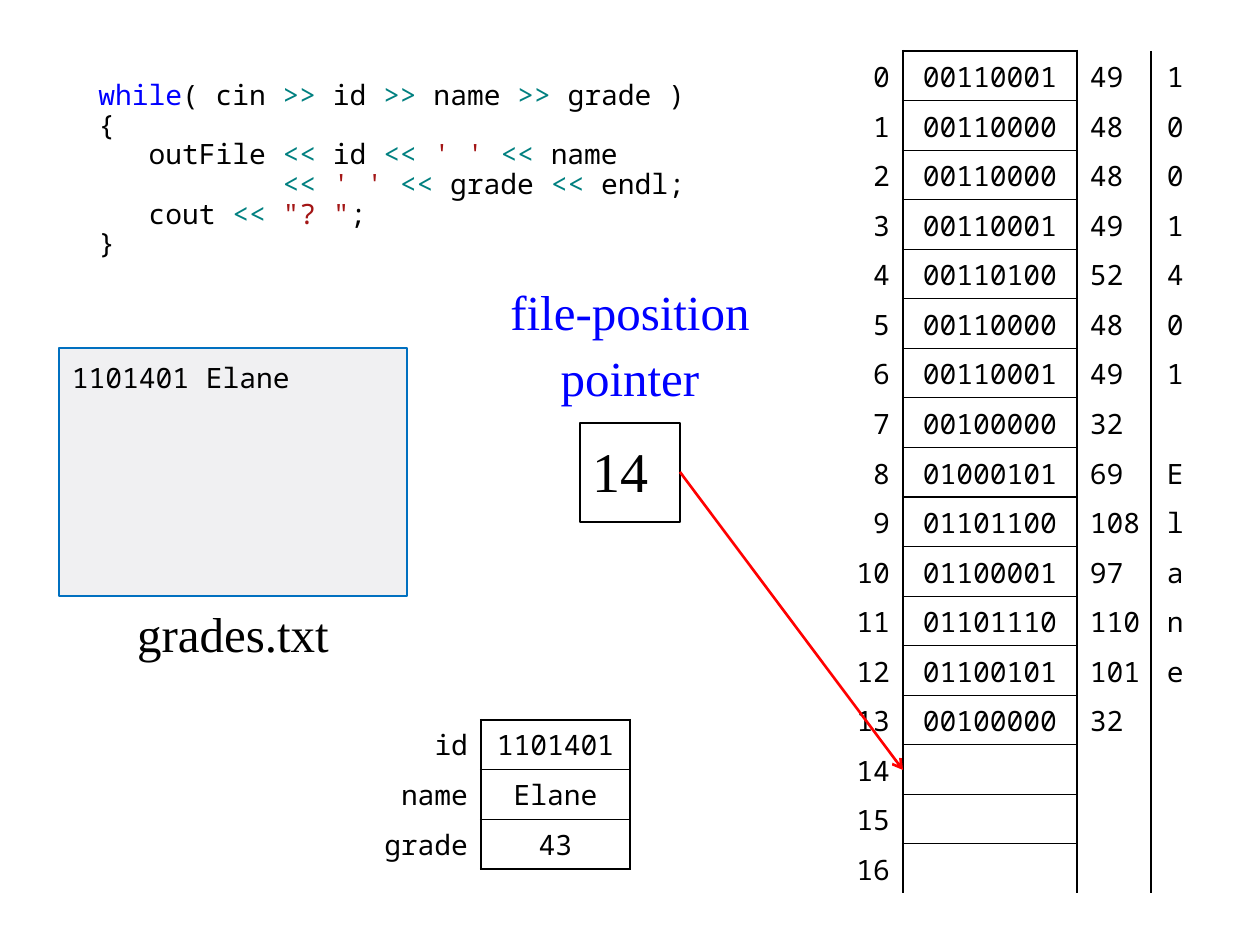
from lxml.etree import SubElement
from pptx import Presentation
from pptx.dml.color import RGBColor
from pptx.enum.shapes import MSO_CONNECTOR, MSO_SHAPE
from pptx.enum.text import MSO_ANCHOR, PP_ALIGN
from pptx.oxml.ns import qn
from pptx.util import Emu, Pt

MONO, SERIF = "Noto Sans Mono", "Times New Roman"
BLACK, BLUE, TEAL, RED = "000000", "0000FF", "008080", "A31515"
LEFT, MID, RIGHT = PP_ALIGN.LEFT, PP_ALIGN.CENTER, PP_ALIGN.RIGHT
PLAIN = "{2D5ABB26-0587-4C30-8999-92F81FD0307C}"
CODE = [
    "while|( cin |>>| id |>>| name |>>| grade )",
    "{",
    "   outFile |<<| id |<< |' ' |<< |name",
    "           |<< |' ' |<<| grade |<<| endl;",
    '   cout |<< |"? "|;',
    "}",
]


def px(num):
    return Emu(round(num * 914400 / 126))


def rgb(color):
    return RGBColor.from_string(color)


def style(para, size, face, color=BLACK, align=LEFT):
    para.alignment = align
    for run in para.runs:
        run.font.size = Pt(size)
        run.font.name = face
        run.font.color.rgb = rgb(color)


def inset(frame, left, top, right, base):
    frame.margin_left, frame.margin_top = px(left), px(top)
    frame.margin_right, frame.margin_bottom = px(right), px(base)


def tint(piece):
    if piece == "while":
        return BLUE
    if "<<" in piece or ">>" in piece:
        return TEAL
    return RED if piece[0] in "'\"" else BLACK


def code(slide, x, y, w, h):
    frame = slide.shapes.add_textbox(px(x), px(y), px(w), px(h)).text_frame
    frame.word_wrap = True
    frame.text = "\n".join(line.replace("|", "") for line in CODE)
    for para, line in zip(frame.paragraphs, CODE):
        para.text = ""
        para.line_spacing = 0.88
        for piece in line.split("|"):
            run = para.add_run()
            run.text = piece
        style(para, 16, MONO)
        for run in para.runs:
            run.font.color.rgb = rgb(tint(run.text))


def label(slide, x, y, w, h, text, color=BLACK, gap=0, wrap=True):
    frame = slide.shapes.add_textbox(px(x), px(y), px(w), px(h)).text_frame
    frame.word_wrap = wrap
    frame.text = text
    for para in frame.paragraphs:
        para.space_before = Pt(gap)
        style(para, 28, SERIF, color, MID)


def panel(slide, x, y, w, h, text, size, face, fill, edge, width, anchor):
    box = slide.shapes.add_shape(MSO_SHAPE.RECTANGLE, px(x), px(y), px(w), px(h))
    box.shadow.inherit = False
    if fill:
        box.fill.solid()
        box.fill.fore_color.rgb = rgb(fill)
    else:
        box.fill.background()
    box.line.color.rgb = rgb(edge)
    box.line.width = Pt(width)
    frame = box.text_frame
    frame.word_wrap = True
    frame.vertical_anchor = anchor
    if anchor == MSO_ANCHOR.TOP:
        inset(frame, 13, 13, 13, 13)
    else:
        inset(frame, 13, 0, 13, 5)
    frame.text = text
    style(frame.paragraphs[0], size, face)


def arrow(slide, x, y, w, h):
    line = slide.shapes.add_connector(
        MSO_CONNECTOR.STRAIGHT, px(x), px(y), px(x + w), px(y + h))
    line.line.color.rgb = rgb("FF0000")
    line.line.width = Pt(1.5)
    SubElement(line.line._get_or_add_ln(), qn("a:tailEnd"), type="arrow")
    SubElement(line._element.spPr, qn("a:effectLst"))


def border(cell, sides):
    props = cell._tc.get_or_add_tcPr()
    for spot, (side, width) in enumerate(sides.items()):
        edge = props.makeelement(qn("a:ln" + side), {"w": str(Pt(width))})
        fill = SubElement(edge, qn("a:solidFill"))
        SubElement(fill, qn("a:srgbClr"), val=BLACK)
        props.insert(spot, edge)


def grid(slide, x, y, w, h, rows, cols, aligns, pad, closed):
    count = len(rows)
    table = slide.shapes.add_table(
        count, len(cols), px(x), px(y), px(w), px(h)).table
    table.first_row = table.horz_banding = False
    table._tbl.tblPr.find(qn("a:tableStyleId")).text = PLAIN
    for col, width in zip(table.columns, cols):
        col.width = px(width)
    for r, texts in enumerate(rows):
        table.rows[r].height = px(h / count)
        for c, text in enumerate(texts):
            cell = table.cell(r, c)
            cell.fill.background()
            cell.vertical_anchor = MSO_ANCHOR.MIDDLE
            inset(cell, 13, *pad[:1], 10 if c == 2 else 13, *pad[1:])
            cell.text = text
            style(cell.text_frame.paragraphs[0], 16, MONO, align=aligns[c])
        sides = {"L": 1.5, "R": 1.5, "T": 0.75 if r else 1.5}
        if r < count - 1:
            sides["B"] = 0.75
        elif closed:
            sides["B"] = 1.5
        border(table.cell(r, 0), {"R": 1.5})
        border(table.cell(r, 1), sides)
        if len(cols) > 2:
            border(table.cell(r, 2), {"L": 1.5})


def memory(slide, x, y, w, h, text, count):
    rows = [[str(n), format(ord(c), "08b"), str(ord(c)), c.strip()]
            for n, c in enumerate(text)]
    rows += [[str(n), "", "", ""] for n in range(len(text), count)]
    grid(slide, x, y, w, h, rows, [75, 174, 74, 49],
         [RIGHT, MID, LEFT, MID], (2, 0), False)


def record(slide, x, y, w, h):
    rows = [["id", "1101401"], ["name", "Elane"], ["grade", "43"]]
    grid(slide, x, y, w, h, rows, [124, 149], [RIGHT, MID], (6, 6), True)


def main():
    deck = Presentation()
    deck.slide_width, deck.slide_height = px(1260), px(945)
    slide = deck.slides.add_slide(deck.slide_layouts[6])
    code(slide, 86, 76, 669, 198)
    panel(slide, 59, 348, 348, 248, "1101401 Elane", 16, MONO,
          "F0F0F2", "0070C0", 1, MSO_ANCHOR.TOP)
    label(slide, 109, 597, 248, 74, "grades.txt", wrap=False)
    memory(slide, 828, 51, 372, 843, "1001401 Elane ", 17)
    label(slide, 481, 275, 298, 149, "file-position\npointer", BLUE, 4)
    panel(slide, 580, 423, 100, 99, "14", 32, SERIF,
          None, BLACK, 1.5, MSO_ANCHOR.MIDDLE)
    arrow(slide, 680, 472, 223, 298)
    record(slide, 357, 720, 273, 149)
    deck.save("out.pptx")


main()
